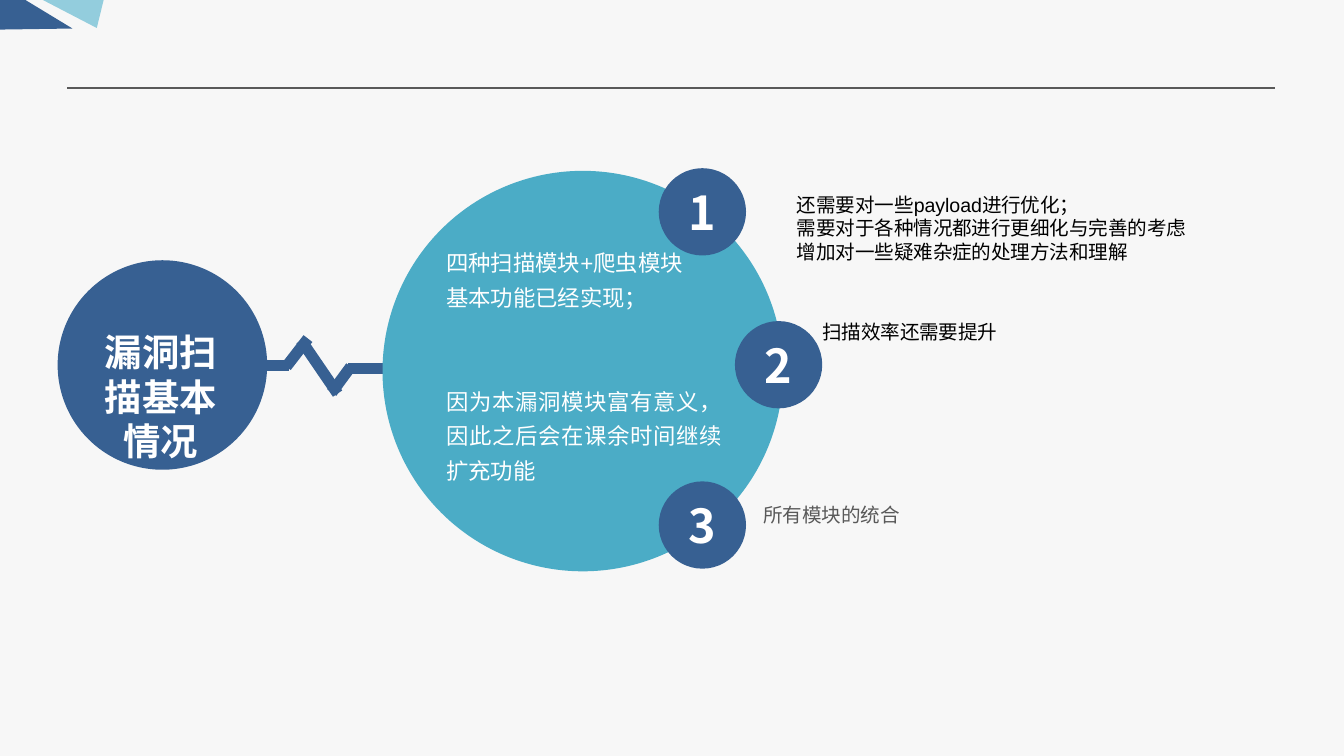
from lxml import etree
from pptx import Presentation
from pptx.dml.color import RGBColor
from pptx.enum.shapes import MSO_CONNECTOR, MSO_SHAPE
from pptx.enum.text import MSO_ANCHOR, PP_ALIGN
from pptx.oxml.ns import qn
from pptx.util import Cm, Pt

STRAIGHT = MSO_CONNECTOR.STRAIGHT
OVAL = MSO_SHAPE.OVAL
MIDDLE, TOP = MSO_ANCHOR.MIDDLE, MSO_ANCHOR.TOP
CENTER, JUSTIFY = PP_ALIGN.CENTER, PP_ALIGN.JUSTIFY

NAVY = RGBColor(0x37, 0x60, 0x92)
TEAL = RGBColor(0x4B, 0xAC, 0xC6)
PALE_TEAL = RGBColor(0x93, 0xCD, 0xDD)
GRAY = RGBColor(0x59, 0x59, 0x59)
PAPER = RGBColor(0xF7, 0xF7, 0xF7)
WHITE = RGBColor(0xFF, 0xFF, 0xFF)
BLACK = RGBColor(0, 0, 0)
LATIN_FONT, CJK_FONT = "Arial", "Noto Sans CJK SC"


def write_text(shape, paragraphs, size, color, font=CJK_FONT, bold=False,
               align=JUSTIFY, anchor=TOP, spacing=None, gaps=None):
    """Fill a shape with formatted paragraphs; gaps maps index to space before."""
    frame = shape.text_frame
    frame.word_wrap = True
    frame.vertical_anchor = anchor
    frame.margin_left = frame.margin_right = 0
    frame.margin_top = frame.margin_bottom = 0
    for index, text in enumerate(paragraphs):
        paragraph = frame.paragraphs[0] if index == 0 else frame.add_paragraph()
        paragraph.alignment = align
        if spacing:
            paragraph.line_spacing = Pt(spacing)
        if gaps and index in gaps:
            paragraph.space_before = Pt(gaps[index])
        run = paragraph.add_run()
        run.text = text
        run.font.size = Pt(size)
        run.font.bold = bold
        run.font.color.rgb = color
        run.font.name = font
        latin = run.font._element.find(qn("a:latin"))
        east_asian = etree.Element(qn("a:ea"), typeface=CJK_FONT)
        latin.addnext(east_asian)


def paint(shape, color):
    """Give a shape a plain fill without outline or shadow."""
    shape.shadow.inherit = False
    shape.fill.solid()
    shape.fill.fore_color.rgb = color
    shape.line.fill.background()


def add_circle(slide, left, top, diameter, color):
    """Add a filled circle."""
    circle = slide.shapes.add_shape(OVAL, Cm(left), Cm(top), Cm(diameter), Cm(diameter))
    paint(circle, color)
    return circle


def add_polygon(slide, points, color):
    """Add a filled closed polygon."""
    corners = [(Cm(x), Cm(y)) for x, y in points]
    builder = slide.shapes.build_freeform(*corners[0])
    builder.add_line_segments(corners[1:], close=True)
    paint(builder.convert_to_shape(), color)


def add_line(slide, start, end, color, width):
    """Add a straight line without shadow."""
    line = slide.shapes.add_connector(STRAIGHT, *(Cm(value) for value in start + end))
    line.line.color.rgb = color
    line.line.width = Pt(width)
    etree.SubElement(line._element.spPr, qn("a:effectLst"))


def add_note(slide, left, top, width, height, paragraphs, **text_format):
    """Add a text box without margins."""
    note = slide.shapes.add_textbox(Cm(left), Cm(top), Cm(width), Cm(height))
    write_text(note, paragraphs, **text_format)


def add_header(slide):
    """Draw the rule and the corner ornament."""
    add_line(slide, (1.27, 1.66), (24.1, 1.66), GRAY, 0.75)
    add_polygon(slide, [(0.81, 0), (1.83, 0.53), (1.96, 0)], PALE_TEAL)
    add_polygon(slide, [(1.37, 0.54), (0.48, 0), (0, 0), (0, 0.56)], NAVY)


def add_pulse(slide):
    """Draw the zigzag between the two large circles."""
    strokes = [
        ((4.22, 6.91), (5.46, 6.91)),
        ((6.58, 6.96), (7.62, 6.96)),
        ((5.41, 6.93), (5.82, 6.4)),
        ((6.27, 7.42), (6.63, 6.93)),
        ((6.38, 7.44), (5.69, 6.43)),
    ]
    for start, end in strokes:
        add_line(slide, start, end, NAVY, 6)


def main():
    """Build the slide and save it."""
    deck = Presentation()
    deck.slide_width, deck.slide_height = Cm(25.4), Cm(14.29)
    slide = deck.slides.add_slide(deck.slide_layouts[6])
    slide.background.fill.solid()
    slide.background.fill.fore_color.rgb = PAPER

    add_header(slide)
    add_circle(slide, 1.09, 4.92, 3.96, NAVY)
    add_pulse(slide)
    add_circle(slide, 7.23, 3.23, 7.57, TEAL)
    for number, (left, top) in enumerate([(12.45, 3.18), (13.89, 6.07), (12.45, 9.1)], 1):
        badge = add_circle(slide, left, top, 1.65, NAVY)
        write_text(badge, [str(number)], size=25, color=WHITE, bold=True,
                   align=CENTER, anchor=MIDDLE)

    add_note(slide, 1.63, 6.22, 2.82, 1.7, ["漏洞扫描基本情况"],
             size=20, color=WHITE, bold=True, align=CENTER, spacing=24)
    add_note(slide, 8.43, 4.56, 5.23, 4.67,
             ["四种扫描模块+爬虫模块", "基本功能已经实现；",
              "因为本漏洞模块富有意义，因此之后会在课余时间继续扩充功能"],
             size=12, color=WHITE, font=LATIN_FONT, spacing=18.6, gaps={2: 37.2})

    small = {"size": 10.5, "spacing": 12.6}
    add_note(slide, 15.06, 3.64, 8.56, 1.8,
             ["还需要对一些payload进行优化；", "需要对于各种情况都进行更细化与完善的考虑",
              "增加对一些疑难杂症的处理方法和理解"],
             color=BLACK, font=LATIN_FONT, **small)
    add_note(slide, 15.54, 6.05, 8.56, 0.89, ["扫描效率还需要提升"],
             color=BLACK, font=LATIN_FONT, **small)
    add_note(slide, 14.43, 9.51, 8.71, 0.46, ["所有模块的统合"], color=GRAY, **small)

    deck.save("out.pptx")


if __name__ == "__main__":
    main()
